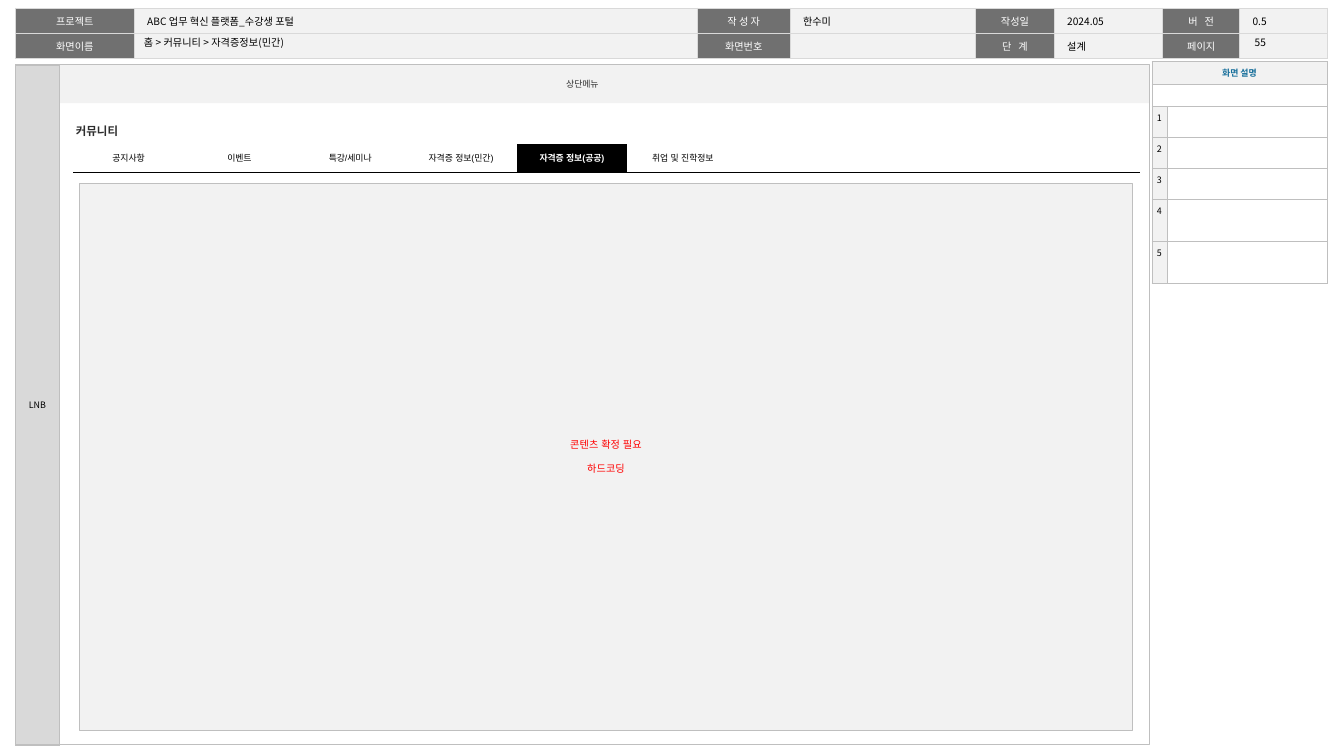
import lxml.etree
import pptx
import pptx.dml.color
import pptx.enum.shapes
import pptx.enum.text
import pptx.oxml.ns
import pptx.util

Cm = pptx.util.Cm
Pt = pptx.util.Pt
qn = pptx.oxml.ns.qn
ALIGN = pptx.enum.text.PP_ALIGN
ANCHOR = pptx.enum.text.MSO_ANCHOR
COLORS = {
    "white": "FFFFFF", "black": "000000", "label": "707070", "pale": "F2F2F2",
    "menu": "D9D9D9", "line": "BFBFBF", "ink": "2E2E2E", "blue": "176F9B", "red": "FF0000",
}
NOTO = "Noto Sans CJK KR"
SIDES = ("left", "top", "right", "bottom")


def color(name):
    """Return the named colour."""
    return pptx.dml.color.RGBColor.from_string(COLORS[name])


def write(frame, lines, size=7, name=NOTO, ink="black", bold=False, tracking=0, **layout):
    """Write one paragraph per line with the given font and paragraph layout."""
    for index, line in enumerate(lines):
        paragraph = frame.add_paragraph() if index else frame.paragraphs[0]
        for attribute, value in layout.items():
            if index or attribute != "space_before":
                setattr(paragraph, attribute, value)
        if not line:
            lxml.etree.SubElement(paragraph._p, qn("a:endParaRPr"), sz=str(size * 100))
            continue
        run = paragraph.add_run()
        run.text = line
        for attribute, value in {"size": Pt(size), "name": name, "bold": bold}.items():
            setattr(run.font, attribute, value)
        run.font.color.rgb = color(ink)
        properties = run.font._element
        lxml.etree.SubElement(properties, qn("a:ea"), typeface=name)
        if tracking:
            properties.set("spc", str(tracking))


def set_frame(frame, margins, anchor=ANCHOR.MIDDLE, wrap=True):
    """Set the margins, anchor and wrapping of a text frame."""
    values = {f"margin_{side}": Cm(margin) for side, margin in zip(SIDES, margins)}
    values.update(vertical_anchor=anchor, word_wrap=wrap)
    for attribute, value in values.items():
        setattr(frame, attribute, value)


def add_text(slide, box, text, margins, anchor=ANCHOR.MIDDLE, **look):
    """Add a wrapping text box."""
    frame = slide.shapes.add_textbox(*map(Cm, box)).text_frame
    set_frame(frame, margins, anchor)
    write(frame, [text], **look)


def add_panel(slide, box, fill=None, line_width=0):
    """Add a rectangle with optional fill and line and return it."""
    kind = pptx.enum.shapes.MSO_SHAPE.RECTANGLE
    shape = slide.shapes.add_shape(kind, *map(Cm, box))
    shape.shadow.inherit = False
    if fill:
        shape.fill.solid()
        shape.fill.fore_color.rgb = color(fill)
    else:
        shape.fill.background()
    if line_width:
        shape.line.width = Pt(line_width)
        shape.line.color.rgb = color("line")
    else:
        shape.line.fill.background()
    return shape


def add_grid(slide, left, top, columns, rows):
    """Add an unbanded table with the given column widths and row heights."""
    size = len(rows), len(columns)
    box = left, top, sum(columns), sum(rows)
    table = slide.shapes.add_table(*size, *map(Cm, box)).table
    table.first_row = table.horz_banding = False
    for column, width in zip(table.columns, columns):
        column.width = Cm(width)
    for row, height in zip(table.rows, rows):
        row.height = Cm(height)
    return table


def fill_cell(cell, text, fill, margins, border, edges="LRTB", anchor=ANCHOR.MIDDLE, **look):
    """Give a cell its borders, fill and text."""
    properties = cell._tc.get_or_add_tcPr()
    line_color, width = border
    for edge in "LRTB":
        line = lxml.etree.SubElement(properties, qn(f"a:ln{edge}"), w=str(Pt(width)))
        if edge in edges:
            solid = lxml.etree.SubElement(line, qn("a:solidFill"))
            lxml.etree.SubElement(solid, qn("a:srgbClr"), val=COLORS[line_color])
        else:
            lxml.etree.SubElement(line, qn("a:noFill"))
    cell.fill.solid()
    cell.fill.fore_color.rgb = color(fill)
    for side, margin in zip(SIDES, margins):
        setattr(cell, f"margin_{side}", Cm(margin))
    cell.vertical_anchor = anchor
    write(cell.text_frame, [text], **look)


def add_header(slide, left, top):
    """Add the project header with the screen path and page number."""
    columns = (3.3, 15.65, 2.57, 5.16, 2.18, 3.02, 2.13, 2.44)
    texts = (
        ("프로젝트", "ABC 업무 혁신 플랫폼_수강생 포털", "작 성 자", "한수미",
         "작성일", "2024.05", "버 전", "0.5"),
        ("화면이름", "", "화면번호", "", "단 계", "설계", "페이지", ""),
    )
    table = add_grid(slide, left, top, columns, (0.62, 0.62))
    for row, line in enumerate(texts):
        for column, text in enumerate(line):
            label = column % 2 == 0
            fill_cell(
                table.cell(row, column), text, "label" if label else "pale",
                (0.36, 0.13, 0.36, 0.13), ("menu", 1), anchor=ANCHOR.TOP, size=8,
                ink="white" if label else "black", line_spacing=1.05,
                alignment=ALIGN.CENTER if label else ALIGN.LEFT,
                tracking=180 if text in ("버 전", "단 계") else 0,
            )


def add_header_values(slide, left, top):
    """Add the screen path and the page number over the header."""
    margins = (0.27, 0.13, 0.27, 0.13)
    add_text(slide, (left + 3.3, top + 0.74, 15, 0.4),
             "홈 > 커뮤니티 > 자격증정보(민간)", margins, size=8)
    add_text(slide, (left + 34.16, top + 0.74, 1.83, 0.4), "55", margins, size=8)


def add_screen_frame(slide, left, top, width, height):
    """Add the top menu, the side menu and the frame of the screen."""
    menu = add_panel(slide, (left, top, width, 1.07), "pale")
    set_frame(menu.text_frame, (0, 0, 0, 0), wrap=False)
    write(menu.text_frame, ["상단메뉴"], name="Arial", ink="ink", alignment=ALIGN.CENTER)
    side_menu = add_grid(slide, left, top, (1.22,), (height,))
    fill_cell(side_menu.cell(0, 0), "LNB", "menu", (0, 0.1, 0, 0.1), ("line", 0.25),
              alignment=ALIGN.CENTER)
    add_panel(slide, (left, top, width, height), line_width=0.75)


def add_description(slide, left, top):
    """Add the numbered screen description table."""
    table = add_grid(slide, left, top, (0.42, 4.45),
                     (0.63, 0.63, 0.86, 0.86, 0.86, 1.17, 1.17))
    style = {"margins": (0.1, 0.13, 0.1, 0.13), "border": ("line", 0.25),
             "alignment": ALIGN.CENTER}
    for row in range(7):
        number = str(row - 1) if row > 1 else ""
        if row == 0:
            fill_cell(table.cell(0, 0), "화면 설명", "pale", ink="blue", bold=True, **style)
        else:
            fill_cell(table.cell(row, 0), number, "pale" if number else "white",
                      anchor=ANCHOR.TOP, **style)
        fill_cell(table.cell(row, 1), "", "white", **style)
    for row in range(2):
        table.cell(row, 0).merge(table.cell(row, 1))


def add_community(slide, left, top):
    """Add the community title, its tabs and the content area."""
    add_text(slide, (left + 0.08, top, 5.03, 0.76), "커뮤니티", (0, 0.13, 0, 0.13),
             ANCHOR.TOP, size=9, name="Arial", ink="ink", bold=True, line_spacing=1.5)
    tabs = ("공지사항", "이벤트", "특강/세미나", "자격증 정보(민간)",
            "자격증 정보(공공)", "취업 및 진학정보", "", "", "", "")
    table = add_grid(slide, left, top + 0.89, (3.08,) * 9 + (1.92,), (0.79,))
    for column, text in enumerate(tabs):
        active = text == "자격증 정보(공공)"
        fill_cell(table.cell(0, column), text, "black" if active else "white",
                  (0.1, 0.13, 0.1, 0.13), ("black", 1), edges="B", name="Arial",
                  ink="white" if active else "black", bold=active, alignment=ALIGN.CENTER)
    content = add_panel(slide, (left + 0.18, top + 1.98, 29.26, 15.19), "pale", 0.25)
    set_frame(content.text_frame, (0, 0, 0, 0), wrap=False)
    write(content.text_frame, ["콘텐츠 확정 필요", "하드코딩"], size=8, name="Arial",
          ink="red", alignment=ALIGN.CENTER, space_before=Pt(9.2))


def main():
    """Build the screen design slide and save it."""
    presentation = pptx.Presentation()
    presentation.slide_width = Cm(37.34)
    presentation.slide_height = Cm(21.01)
    slide = presentation.slides.add_slide(presentation.slide_layouts[6])
    add_header(slide, 0.43, 0.23)
    add_screen_frame(slide, 0.43, 1.8, 31.5, 18.9)
    add_header_values(slide, 0.43, 0.23)
    add_description(slide, 32, 1.7)
    add_community(slide, 2.03, 3.12)
    presentation.save("out.pptx")


if __name__ == "__main__":
    main()
